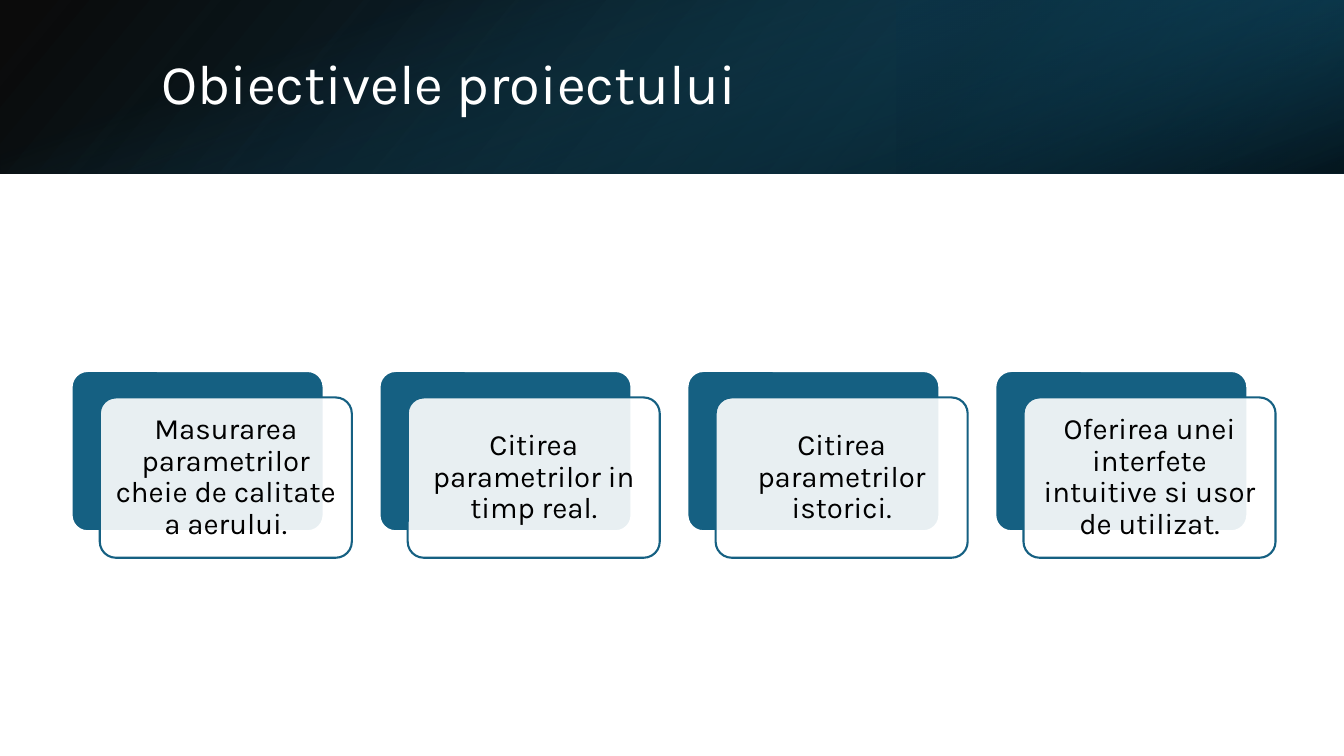
"""Build the project objectives slide: a gradient banner over a row of layered cards."""
from dataclasses import dataclass

from lxml.etree import SubElement
from pptx import Presentation
from pptx.dml.color import RGBColor as RGB
from pptx.enum.shapes import MSO_SHAPE as SHAPE
from pptx.enum.text import MSO_ANCHOR as ANCHOR, PP_ALIGN as ALIGN
from pptx.oxml.ns import qn
from pptx.util import Inches, Pt


@dataclass(frozen=True)
class Theme:
    font: str = "Karla"
    accent: str = "156082"
    deep: str = "104862"
    navy: str = "0B3041"
    dark: str = "000000"
    light: str = "FFFFFF"
    title_size: int = 40
    card_size: int = 21
    line_width: float = 1.5
    card_alpha: int = 90
    spacing: float = 0.9


THEME = Theme()
W, H = Inches(13.333), Inches(7.5)
BANNER_H = round(H * 0.2293)
OBJECTIVES = (
    "Masurarea parametrilor cheie de calitate a aerului.",
    "Citirea parametrilor in timp real.",
    "Citirea parametrilor istorici.",
    "Oferirea unei interfete intuitive si usor de utilizat.",
)


def across(percent):
    return round(W * percent / 100)


def down(percent):
    return round(H * percent / 100)


def set_alphas(sp, *alphas):
    for clr, alpha in zip(list(sp._element.spPr.iter(qn("a:srgbClr"))), alphas):
        SubElement(clr, qn("a:alpha")).set("val", str(alpha * 1000))


def add_band(shapes, box, stops, angle, rotation=0, flip=False):
    sp = shapes.add_shape(SHAPE.RECTANGLE, *box)
    sp.shadow.inherit = False
    sp.line.fill.background()
    sp.rotation = rotation
    if flip:
        sp._element.spPr.find(qn("a:xfrm")).set("flipH", "1")
    sp.fill.gradient()
    sp.fill.gradient_angle = 360 - angle
    for stop, (position, color, _) in zip(sp.fill.gradient_stops, stops):
        stop.position = position / 100
        stop.color.rgb = RGB.from_string(color)
    set_alphas(sp, *(alpha for _, _, alpha in stops))


def add_banner(shapes):
    t = THEME
    add_band(shapes, (0, 0, W, BANNER_H),
             [(0, t.dark, 96), (100, t.deep, 100)], 140, flip=True)
    add_band(shapes, (W * 2 // 3, 0, W // 3, BANNER_H),
             [(19, t.navy, 68), (100, t.accent, 79)], 320, rotation=180, flip=True)
    offset = (W - BANNER_H) // 2
    add_band(shapes, (offset, -offset, BANNER_H, W),
             [(23, t.accent, 0), (99, t.dark, 74)], 340, rotation=90)


def format_text(tf, size, color, align):
    tf.word_wrap = True
    tf.vertical_anchor = ANCHOR.MIDDLE
    p = tf.paragraphs[0]
    p.alignment = align
    p.line_spacing = THEME.spacing
    for r in p.runs:
        r.font.name = THEME.font
        r.font.size = Pt(size)
        r.font.color.rgb = RGB.from_string(color)


def place_title(slide, text):
    title = slide.shapes.title
    slide.shapes._spTree.append(title._element)
    title.left, title.top = across(11.25), down(5.07)
    title.width, title.height = across(82.35), down(12.8)
    title.text_frame.text = text
    format_text(title.text_frame, THEME.title_size, THEME.light, ALIGN.LEFT)


def add_panel(shapes, left, top, fill, line):
    sp = shapes.add_shape(SHAPE.ROUNDED_RECTANGLE, left, top, across(18.75), down(21.2))
    sp.adjustments[0] = 0.1
    sp.shadow.inherit = False
    sp.fill.solid()
    sp.fill.fore_color.rgb = RGB.from_string(fill)
    sp.line.color.rgb = RGB.from_string(line)
    sp.line.width = Pt(THEME.line_width)
    return sp


def add_card(shapes, column, text):
    left, top = across(5.33 + 22.91 * column), down(49.07)
    add_panel(shapes, left, top, THEME.accent, THEME.light)
    front = add_panel(shapes, left + across(2.1), top + down(3.5), THEME.light, THEME.accent)
    set_alphas(front, THEME.card_alpha)
    tf = front.text_frame
    tf.margin_left = tf.margin_right = tf.margin_top = tf.margin_bottom = Inches(0.09)
    tf.text = text
    format_text(tf, THEME.card_size, THEME.dark, ALIGN.CENTER)


def main():
    prs = Presentation()
    prs.slide_width, prs.slide_height = W, H
    slide = prs.slides.add_slide(prs.slide_layouts[5])
    add_banner(slide.shapes)
    place_title(slide, "Obiectivele proiectului")
    cards = slide.shapes.add_group_shape()
    for column, text in enumerate(OBJECTIVES):
        add_card(cards.shapes, column, text)
    prs.save("out.pptx")


if __name__ == "__main__":
    main()
